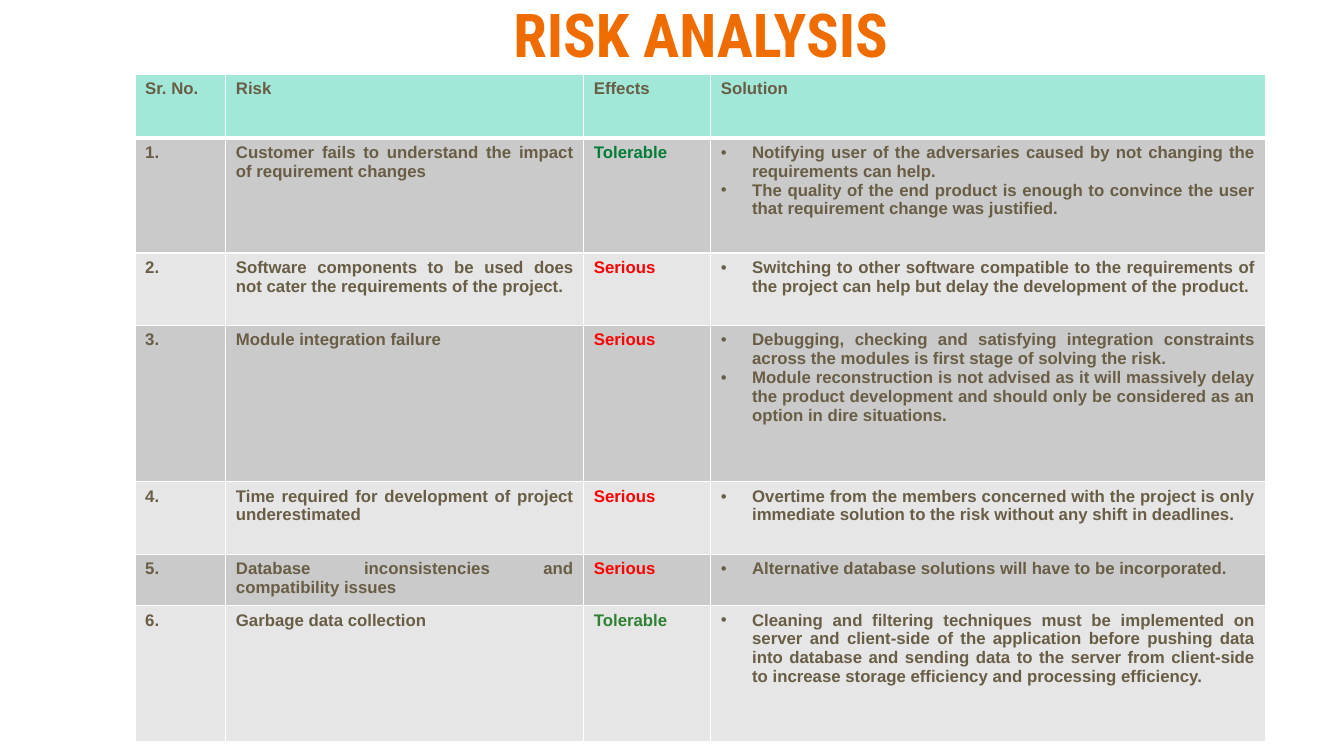
from lxml.etree import SubElement
from pptx import Presentation
from pptx.dml.color import RGBColor
from pptx.enum.text import MSO_ANCHOR, PP_ALIGN
from pptx.oxml.ns import qn
from pptx.util import Inches, Pt

COLORS = {
    "title": "EF6C00", "text": "695D46", "head": "A1E8D9",
    "dark": "CACACA", "light": "E6E6E6", "line": "FFFFFF",
    "green": "007E39", "leaf": "2F8133", "red": "FF0000",
}
WIDTHS = [0.9, 3.55, 1.26, 5.5]
HEIGHTS = [0.63, 1.14, 0.72, 1.55, 0.72, 0.51, 1.35]
HEADS = ["Sr. No.", "Risk", "Effects", "Solution"]
RISKS = [
    ("Customer fails to understand the impact of requirement changes",
     "Tolerable", "green",
     ["Notifying user of the adversaries caused by not changing the "
      "requirements can help.",
      "The quality of the end product is enough to convince the user "
      "that requirement change was justified."]),
    ("Software components to be used does not cater the requirements "
     "of the project.",
     "Serious", "red",
     ["Switching to other software compatible to the requirements of the "
      "project can help but delay the development of the product."]),
    ("Module integration failure",
     "Serious", "red",
     ["Debugging, checking and satisfying integration constraints across "
      "the modules is first stage of solving the risk.",
      "Module reconstruction is not advised as it will massively delay the "
      "product development and should only be considered as an option in "
      "dire situations."]),
    ("Time required for development of project underestimated",
     "Serious", "red",
     ["Overtime from the members concerned with the project is only "
      "immediate solution to the risk without any shift in deadlines."]),
    ("Database inconsistencies and compatibility issues",
     "Serious", "red",
     ["Alternative database solutions will have to be incorporated."]),
    ("Garbage data collection",
     "Tolerable", "leaf",
     ["Cleaning and filtering techniques must be implemented on server and "
      "client-side of the application before pushing data into database and "
      "sending data to the server from client-side to increase storage "
      "efficiency and processing efficiency."]),
]


def paint(name):
    return RGBColor.from_string(COLORS[name])


def style(para, face, size, color, align):
    para.alignment = align
    para.font.name = face
    para.font.size = Pt(size)
    para.font.bold = True
    para.font.color.rgb = paint(color)


def add_title(slide, text):
    box = slide.shapes.add_textbox(
        Inches(1.2), Inches(0.01), Inches(11.5), Inches(0.74))
    frame = box.text_frame
    frame.word_wrap = True
    frame.vertical_anchor = MSO_ANCHOR.MIDDLE
    para = frame.paragraphs[0]
    para.text = text
    para.line_spacing = 0.9
    style(para, "Roboto Condensed", 43.2, "title", PP_ALIGN.CENTER)


def add_bullet(para):
    props = para._p.get_or_add_pPr()
    props.set("marL", str(Inches(0.31)))
    props.set("indent", str(-Inches(0.31)))
    SubElement(props, qn("a:buFont"), typeface="Arial")
    SubElement(props, qn("a:buChar"), char="•")


def add_edges(cell, row):
    props = cell._tc.get_or_add_tcPr()
    thick = {"T": row == 1, "B": row == 0}
    for side in "LRTB":
        width = Pt(3 if thick.get(side) else 1)
        line = SubElement(props, qn(f"a:ln{side}"), w=str(width))
        fill = SubElement(line, qn("a:solidFill"))
        SubElement(fill, qn("a:srgbClr"), val=COLORS["line"])


def fill_cell(cell, row, lines, back, color="text", bullets=False):
    add_edges(cell, row)
    cell.fill.solid()
    cell.fill.fore_color.rgb = paint(back)
    cell.text = "\n".join(lines)
    for para in cell.text_frame.paragraphs:
        style(para, "Arial", 12, color, PP_ALIGN.JUSTIFY)
        if bullets:
            add_bullet(para)


def add_risks(slide):
    table = slide.shapes.add_table(
        len(HEIGHTS), len(WIDTHS), Inches(1.34), Inches(0.74),
        Inches(sum(WIDTHS)), Inches(sum(HEIGHTS))).table
    for column, width in zip(table.columns, WIDTHS):
        column.width = Inches(width)
    for row, height in zip(table.rows, HEIGHTS):
        row.height = Inches(height)
    for col, head in enumerate(HEADS):
        fill_cell(table.cell(0, col), 0, [head], "head")
    for row, (risk, effect, color, steps) in enumerate(RISKS, 1):
        back = "dark" if row % 2 else "light"
        fill_cell(table.cell(row, 0), row, [f"{row}."], back)
        fill_cell(table.cell(row, 1), row, [risk], back)
        fill_cell(table.cell(row, 2), row, [effect], back, color)
        fill_cell(table.cell(row, 3), row, steps, back, bullets=True)


def main():
    deck = Presentation()
    deck.slide_width = Inches(13.33)
    deck.slide_height = Inches(7.5)
    slide = deck.slides.add_slide(deck.slide_layouts[6])
    add_title(slide, "RISK ANALYSIS")
    add_risks(slide)
    deck.save("out.pptx")


if __name__ == "__main__":
    main()
